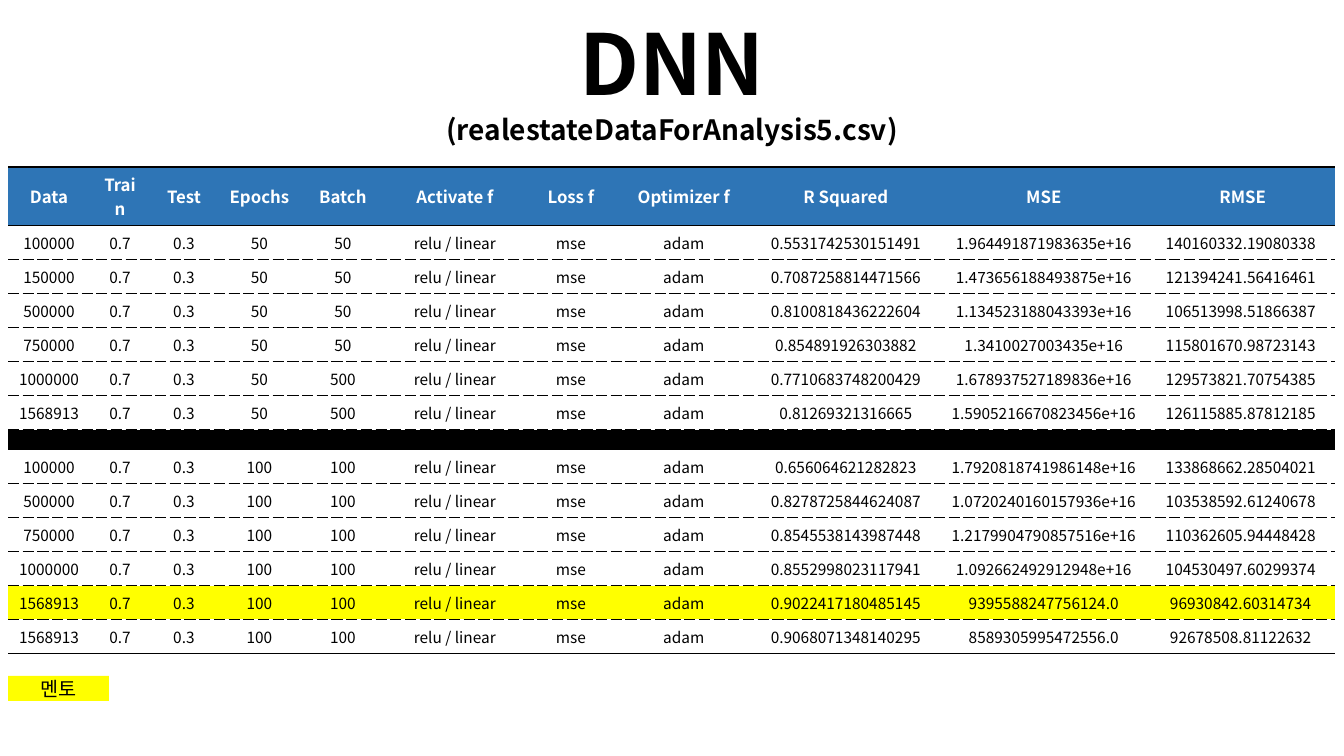
from lxml import etree
from pptx import Presentation
from pptx.dml.color import RGBColor
from pptx.enum.shapes import MSO_SHAPE
from pptx.enum.text import MSO_ANCHOR, PP_ALIGN
from pptx.oxml.ns import qn
from pptx.util import Pt

RECT = MSO_SHAPE.RECTANGLE
MIDDLE = MSO_ANCHOR.MIDDLE
CENTER = PP_ALIGN.CENTER
EMU_PER_PX = 914400 / 100.8
FONT = "Noto Sans CJK KR"
NO_GRID_STYLE = "{2D5ABB26-0587-4C30-8999-92F81FD0307C}"
BLACK, WHITE, BLUE, YELLOW = "000000", "FFFFFF", "2E75B6", "FFFF00"

COL_WIDTHS = [82, 60, 68, 83, 84, 140, 92, 134, 190, 206, 188]
HEADER_H, ROW_H, DIVIDER_H = 58, 34, 20
HEADERS = ["Data", "Train", "Test", "Epochs", "Batch", "Activate f", "Loss f",
           "Optimizer f", "R Squared", "MSE", " RMSE"]
# Data, batch, R squared, MSE, RMSE
RUNS_50 = [
    ("100000", "50", "0.5531742530151491", "1.964491871983635e+16", "140160332.19080338"),
    ("150000", "50", "0.7087258814471566", "1.473656188493875e+16", "121394241.56416461"),
    ("500000", "50", "0.8100818436222604", "1.134523188043393e+16", "106513998.51866387"),
    ("750000", "50", "0.854891926303882", "1.3410027003435e+16", "115801670.98723143"),
    ("1000000", "500", "0.7710683748200429", "1.678937527189836e+16", "129573821.70754385"),
    ("1568913", "500", "0.81269321316665", "1.5905216670823456e+16", "126115885.87812185"),
]
RUNS_100 = [
    ("100000", "100", "0.656064621282823", "1.7920818741986148e+16", "133868662.28504021"),
    ("500000", "100", "0.8278725844624087", "1.0720240160157936e+16", "103538592.61240678"),
    ("750000", "100", "0.8545538143987448", "1.2179904790857516e+16", "110362605.94448428"),
    ("1000000", "100", "0.8552998023117941", "1.092662492912948e+16", "104530497.60299374"),
    ("1568913", "100", "0.9022417180485145", "9395588247756124.0", "96930842.60314734"),
    ("1568913", "100", "0.9068071348140295", "8589305995472556.0", "92678508.81122632"),
]
HIGHLIGHTED = RUNS_100[4]


def px(n):
    return round(n * EMU_PER_PX)


def rgb(color):
    return RGBColor.from_string(color)


def paint(fill, color):
    if color:
        fill.solid()
        fill.fore_color.rgb = rgb(color)
    else:
        fill.background()


def write(p, text, size, color=BLACK, bold=False):
    p.alignment = CENTER
    r = p.add_run()
    r.text = text
    for name, value in {"name": FONT, "size": Pt(size), "bold": bold}.items():
        setattr(r.font, name, value)
    r.font.color.rgb = rgb(color)


def border(cell, side, dash, index):
    ln = etree.Element(qn("a:" + side), w=str(Pt(1)))
    fill = etree.SubElement(ln, qn("a:solidFill"))
    etree.SubElement(fill, qn("a:srgbClr"), val=BLACK)
    etree.SubElement(ln, qn("a:prstDash"), val=dash)
    cell._tc.get_or_add_tcPr().insert(index, ln)


def run_cells(run, epochs):
    data, batch, *scores = run
    return [data, "0.7", "0.3", epochs, batch, "relu / linear", "mse", "adam", *scores]


def add_title(s, x, y, w, h):
    tf = s.shapes.add_textbox(px(x), px(y), px(w), px(h)).text_frame
    tf.word_wrap = True
    write(tf.paragraphs[0], "DNN", 60, bold=True)
    write(tf.add_paragraph(), "(realestateDataForAnalysis5.csv)", 20, bold=True)


def add_results(s, x, y):
    # Each row: texts, height, fill, text format
    body = {"size": 11}
    rows = [(HEADERS, HEADER_H, BLUE, {"size": 12, "color": WHITE, "bold": True})]
    rows += [(run_cells(run, "50"), ROW_H, None, body) for run in RUNS_50]
    rows.append(([""] * len(HEADERS), DIVIDER_H, BLACK, body))
    rows += [(run_cells(run, "100"), ROW_H, YELLOW if run is HIGHLIGHTED else None, body)
             for run in RUNS_100]

    height = sum(row[1] for row in rows)
    table = s.shapes.add_table(len(rows), len(HEADERS), px(x), px(y),
                               px(sum(COL_WIDTHS)), px(height)).table
    table.horz_banding = False
    table.first_row = False
    table._tbl.tblPr.find(qn("a:tableStyleId")).text = NO_GRID_STYLE
    for col, width in zip(table.columns, COL_WIDTHS):
        col.width = px(width)

    # Solid rules frame the header and close the table; the rest are dashed
    rules = ["solid"] * 2 + ["sysDash"] * (len(rows) - 2) + ["solid"]
    for i, (texts, row_h, fill, style) in enumerate(rows):
        table.rows[i].height = px(row_h)
        for j, text in enumerate(texts):
            cell = table.cell(i, j)
            cell.vertical_anchor = MIDDLE
            paint(cell.fill, fill)
            border(cell, "lnT", rules[i], 0)
            border(cell, "lnB", rules[i + 1], 1)
            p = cell.text_frame.paragraphs[0]
            if text:
                write(p, text, **style)
            else:
                # Small empty text keeps the divider row thin
                etree.SubElement(p._p, qn("a:endParaRPr"), sz="100")


def add_mentor_tag(s, x, y, w, h):
    sp = s.shapes.add_shape(RECT, px(x), px(y), px(w), px(h))
    sp.shadow.inherit = False
    paint(sp.fill, YELLOW)
    sp.line.fill.background()
    sp.text_frame.vertical_anchor = MIDDLE
    write(sp.text_frame.paragraphs[0], "멘토", 14)


prs = Presentation()
prs.slide_width, prs.slide_height = px(1344), px(756)
s = prs.slides.add_slide(prs.slide_layouts[6])
add_results(s, 8, 167)
add_title(s, 314, 7, 716, 146)
add_mentor_tag(s, 8, 676, 101, 25)
prs.save("out.pptx")
